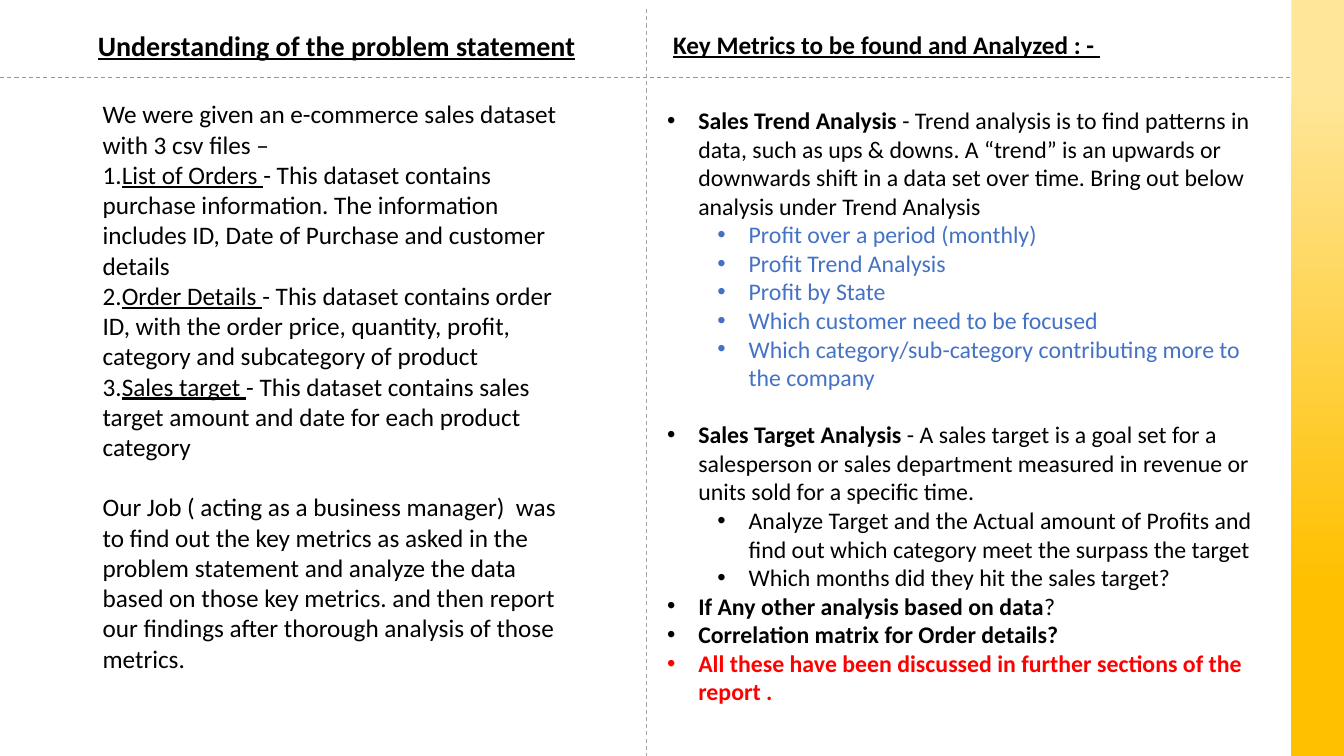
from lxml import etree
from pptx import Presentation
from pptx.dml.color import RGBColor
from pptx.enum.dml import MSO_LINE
from pptx.enum.shapes import MSO_CONNECTOR, MSO_SHAPE
from pptx.enum.text import MSO_AUTO_SIZE, PP_ALIGN
from pptx.oxml.ns import qn
from pptx.util import Inches, Pt

DASH = MSO_LINE.DASH
STRAIGHT = MSO_CONNECTOR.STRAIGHT
RECTANGLE = MSO_SHAPE.RECTANGLE
GROW = MSO_AUTO_SIZE.SHAPE_TO_FIT_TEXT
CENTER, LEFT = PP_ALIGN.CENTER, PP_ALIGN.LEFT

WIDTH, HEIGHT = Inches(13.333), Inches(7.5)
FONT = "Calibri"
COLORS = {
    "black": "000000", "blue": "4472C4", "red": "FF0000", "orange": "ED7D31",
    "grey": "A5A5A5", "pale": "FFE699", "gold": "FFC000",
}

# Shares of the slide's size, in percent
BAND_LEFT = 96.08
DIVIDER_X = 48.08
RULE_Y = 10.27

DATASETS = [
    ("1.", "List of Orders ", "- This dataset contains purchase information. The information "
     "includes ID, Date of Purchase and customer details"),
    ("2.", "Order Details ", "- This dataset contains order ID, with the order price, quantity, "
     "profit, category and subcategory of product"),
    ("3.", "Sales target ", "- This dataset contains sales target amount and date for each "
     "product category"),
]
JOB = ("Our Job ( acting as a business manager)  was to find out the key metrics as asked in the "
       "problem statement and analyze the data based on those key metrics. and then report our "
       "findings after thorough analysis of those metrics.")

# Level, bold lead, plain rest, colour, points of space before
METRICS = [
    (0, "Sales Trend Analysis", " - Trend analysis is to find patterns in data, such as ups & "
     "downs. A “trend” is an upwards or downwards shift in a data set over time. Bring out below "
     "analysis under Trend Analysis", "black", 0),
    (1, "", "Profit over a period (monthly)", "blue", 0),
    (1, "", "Profit Trend Analysis", "blue", 0),
    (1, "", "Profit by State", "blue", 0),
    (1, "", "Which customer need to be focused", "blue", 0),
    (1, "", "Which category/sub-category contributing more to the company", "blue", 0),
    (0, "Sales Target Analysis", " - A sales target is a goal set for a salesperson or sales "
     "department measured in revenue or units sold for a specific time.", "black", 20.4),
    (1, "", "Analyze Target and the Actual amount of Profits and find out which category meet "
     "the surpass the target", "black", 0),
    (1, "", "Which months did they hit the sales target?", "black", 0),
    (0, "If Any other analysis based on data", "?", "black", 0),
    (0, "Correlation matrix for Order details?", "", "black", 0),
    (0, "All these have been discussed in further sections of the report .", "", "red", 0),
]


def across(percent):
    return round(WIDTH * percent / 100)


def down(percent):
    return round(HEIGHT * percent / 100)


def rgb(name):
    return RGBColor.from_string(COLORS[name])


def add_span(para, text, size=18, color="black", bold=False, underline=False):
    span = para.add_run()
    span.text = text
    font = span.font
    font.name, font.size = FONT, Pt(size)
    font.bold, font.underline = bold, underline
    font.color.rgb = rgb(color)


def add_box(page, left, top, width, height):
    box = page.shapes.add_textbox(across(left), down(top), across(width), down(height))
    box.text_frame.word_wrap = True
    box.text_frame.auto_size = GROW
    return box.text_frame


def add_para(frame, level=0, margin=0, hanging=0, before=0):
    """Return the frame's next paragraph, using its empty first one if still free."""
    first = frame.paragraphs[0]
    para = frame.add_paragraph() if first.runs else first
    properties = para._p.get_or_add_pPr()
    properties.set("marL", str(Inches(margin)))
    properties.set("indent", str(-Inches(hanging)))
    if hanging:
        etree.SubElement(properties, qn("a:buFont"), typeface="Arial")
        etree.SubElement(properties, qn("a:buChar"), char="•")
    para.level = level
    if before:
        para.space_before = Pt(before)
    return para


def add_heading(page, text, place, size, align):
    para = add_para(add_box(page, *place))
    para.alignment = align
    add_span(para, text, size=size, bold=True, underline=True)


def add_dashed_line(page, start, end, color):
    line = page.shapes.add_connector(
        STRAIGHT, across(start[0]), down(start[1]), across(end[0]), down(end[1]))
    line.line.color.rgb = rgb(color)
    line.line.width = Pt(0.75)
    line.line.dash_style = DASH
    etree.SubElement(line._element.spPr, qn("a:effectLst"))


def add_gold_band(page):
    band = page.shapes.add_shape(
        RECTANGLE, across(BAND_LEFT), 0, WIDTH - across(BAND_LEFT), HEIGHT)
    band.shadow.inherit = False
    band.line.fill.background()
    band.fill.gradient()
    band.fill.gradient_angle = 270
    for stop, (position, color) in zip(band.fill.gradient_stops, [(0.12, "pale"), (0.77, "gold")]):
        stop.position = position
        stop.color.rgb = rgb(color)


def add_problem_statement(page):
    frame = add_box(page, 3.15, 12.4, 40.73, 82.13)
    indent = {"level": 1, "margin": 0.5}
    add_span(add_para(frame, **indent),
             "We were given an e-commerce sales dataset with 3 csv files –")
    for number, name, description in DATASETS:
        para = add_para(frame, **indent)
        add_span(para, number)
        add_span(para, name, underline=True)
        add_span(para, description)
    add_span(add_para(frame, before=21.6, **indent), JOB)


def add_metrics(page):
    frame = add_box(page, 48.9, 13.33, 45.98, 81.47)
    for level, lead, rest, color, before in METRICS:
        para = add_para(frame, level, 0.31 + 0.5 * level, 0.31, before)
        for text, bold in ((lead, True), (rest, False)):
            if text:
                add_span(para, text, size=17, color=color, bold=bold)


def main():
    deck = Presentation()
    deck.slide_width, deck.slide_height = WIDTH, HEIGHT
    page = deck.slides.add_slide(deck.slide_layouts[6])
    add_gold_band(page)
    add_heading(page, "Understanding of the problem statement",
                (2.1, 3.07, 45.9, 5.87), 20, CENTER)
    add_dashed_line(page, (DIVIDER_X, 1.2), (DIVIDER_X, 101.2), "grey")
    add_dashed_line(page, (0, RULE_Y), (BAND_LEFT, RULE_Y), "orange")
    add_problem_statement(page)
    add_metrics(page)
    add_heading(page, "Key Metrics to be found and Analyzed : - ",
                (49.35, 3.2, 45.08, 5.33), 18, LEFT)
    deck.save("out.pptx")


if __name__ == "__main__":
    main()
